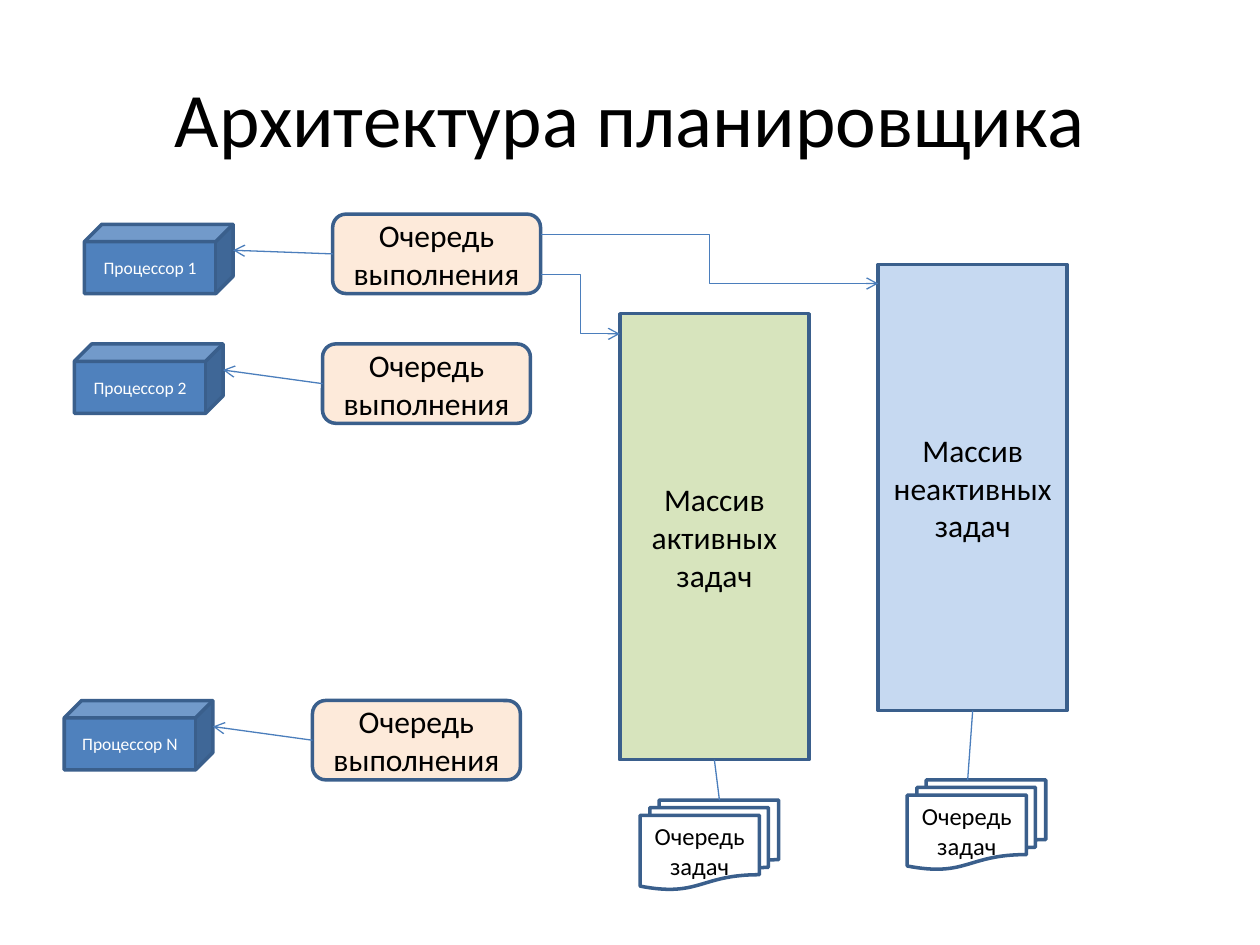
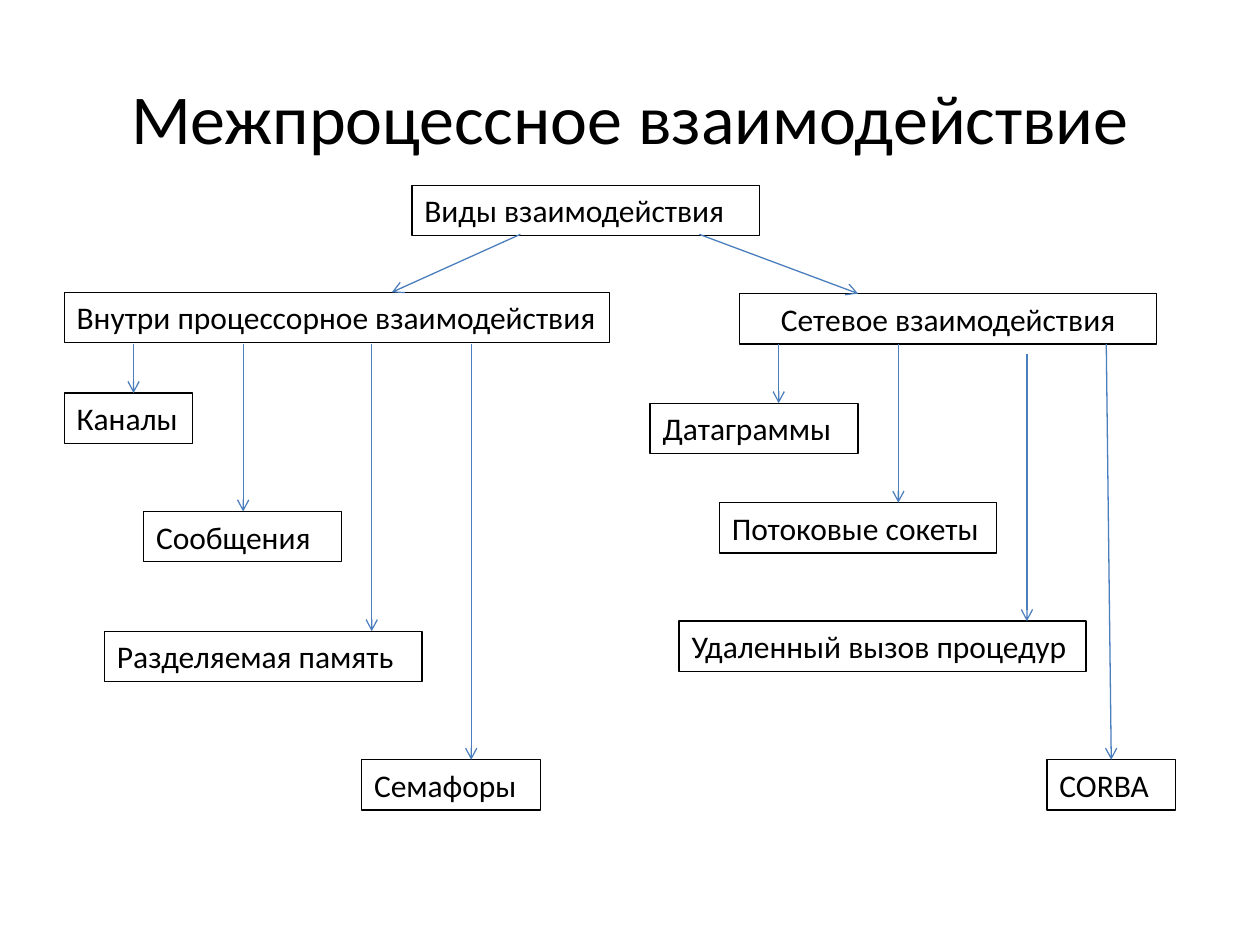
from dataclasses import dataclass

from lxml.etree import SubElement
from pptx import Presentation
from pptx.dml.color import RGBColor
from pptx.enum.shapes import MSO_CONNECTOR as Link, MSO_SHAPE as Shape
from pptx.enum.text import MSO_ANCHOR as Anchor, MSO_AUTO_SIZE as AutoSize, PP_ALIGN as Align
from pptx.oxml.ns import qn
from pptx.util import Inches, Pt

# Shared grid: 100 columns by 75 rows
WIDTH, HEIGHT = Inches(10), Inches(7.5)
COL, ROW = WIDTH / 100, HEIGHT / 75

# Shared style
FONT = "Calibri"
BLACK, WHITE = "000000", "FFFFFF"
OUTLINE, ARROW = "3A5F8C", "4B7EBC"
PROCESSOR, RUN_QUEUE, ACTIVE, INACTIVE = "4F81BD", "FDEADA", "D7E4BD", "C6D9F1"
THICK, THIN = Pt(2), Pt(0.75)


@dataclass(frozen=True)
class Box:
    """A rectangle in columns and rows of the grid."""
    left: float
    top: float
    width: float
    height: float

    @property
    def right(self) -> float:
        return self.left + self.width

    @property
    def bottom(self) -> float:
        return self.top + self.height

    @property
    def center(self) -> float:
        return self.left + self.width / 2

    @property
    def middle(self) -> float:
        return self.top + self.height / 2

    def emu(self) -> tuple[int, ...]:
        return (round(self.left * COL), round(self.top * ROW),
                round(self.width * COL), round(self.height * ROW))


@dataclass(frozen=True)
class Processor:
    label: str
    left: float
    top: float
    queue_top: float


@dataclass(frozen=True)
class TaskArray:
    label: str
    fill: str
    left: float
    top: float
    link_y: float
    entry: float
    tasks: Box
    tasks_entry: float


@dataclass(frozen=True)
class Topic:
    """A framed label and the arrow that leads to it."""
    label: str
    left: float
    top: float
    width: float
    start: tuple[float, float] | None = None
    end_x: float = 0
    align: Align = Align.LEFT


TITLE = Box(5, 3, 90, 12.5)
CUBE_SIZE = (11.8, 5.5)
CUBE_DEPTH = 0.25
QUEUE_SIZE = (16.5, 6.3)
QUEUE_SHIFT = 19.7
ARRAY_SIZE = (15, 35.4)
TOPIC_HEIGHT = 4
BRANCH_Y, DROP_Y = 18.6, 27.3

PROCESSORS = [
    Processor("Процессор 1", 6.7, 17.8, 17),
    Processor("Процессор 2", 5.9, 27.3, 27.3),
    Processor("Процессор N", 5.1, 55.6, 55.6),
]
ARRAYS = [
    TaskArray("Массив активных задач", ACTIVE, 49.2, 24.9, 21.8, 26.5,
              Box(50.8, 63.5, 11, 7.1), 57.1),
    TaskArray("Массив неактивных задач", INACTIVE, 69.7, 21, 18.6, 22.5,
              Box(72, 61.9, 11, 7.1), 76.8),
]
TOPICS = [
    Topic("Виды взаимодействия", 32.7, 14.7, 27.6),
    Topic("Внутри процессорное взаимодействия", 5.1, 23.2, 43.3, (41.3, BRANCH_Y), 31.1),
    Topic("Сетевое взаимодействия", 58.7, 23.3, 33.1, (55.5, BRANCH_Y), 68.1, Align.CENTER),
    Topic("Каналы", 5.1, 31.2, 10.2, (10.6, DROP_Y), 10.6),
    Topic("Сообщения", 11.4, 40.6, 15.7, (19.3, DROP_Y), 19.3),
    Topic("Разделяемая память", 8.3, 50.1, 25.2, (29.5, DROP_Y), 29.5),
    Topic("Семафоры", 28.7, 60.3, 14.2, (37.4, DROP_Y), 37.4),
    Topic("Датаграммы", 51.6, 32, 16.5, (61.8, DROP_Y), 61.8),
    Topic("Потоковые сокеты", 57.1, 39.9, 22, (71.3, DROP_Y), 71.3),
    Topic("Удаленный вызов процедур", 53.9, 49.3, 32.3, (81.5, 28.1), 81.5),
    Topic("CORBA", 83.1, 60.3, 10.2, (87.8, DROP_Y), 88.2),
]


def color(code: str) -> RGBColor:
    return RGBColor.from_string(code)


def write(shape, text: str, size: float, ink: str = BLACK,
          align: Align = Align.CENTER, anchor: Anchor = Anchor.MIDDLE) -> None:
    frame = shape.text_frame
    frame.word_wrap = True
    frame.vertical_anchor = anchor
    line = frame.paragraphs[0]
    line.alignment = align
    run = line.add_run()
    run.text = text
    run.font.name, run.font.size = FONT, Pt(size)
    run.font.color.rgb = color(ink)


def outline(shape, code: str, width: int) -> None:
    shape.line.color.rgb = color(code)
    shape.line.width = width


def add_title(slide, text: str, size: float) -> None:
    write(slide.shapes.add_textbox(*TITLE.emu()), text, size)


def add_block(slide, kind: Shape, box: Box, fill: str, text: str,
              size: float = 18, ink: str = BLACK) -> None:
    block = slide.shapes.add_shape(kind, *box.emu())
    block.shadow.inherit = False
    block.fill.solid()
    block.fill.fore_color.rgb = color(fill)
    outline(block, OUTLINE, THICK)
    write(block, text, size, ink)


def add_link(slide, start: tuple[float, float], end: tuple[float, float],
             kind: Link = Link.STRAIGHT, arrow: bool = True) -> None:
    ends = [round(value * unit) for point in (start, end)
            for value, unit in zip(point, (COL, ROW))]
    link = slide.shapes.add_connector(kind, *ends)
    outline(link, ARROW, THIN)
    if arrow:
        SubElement(link.line._get_or_add_ln(), qn("a:tailEnd"), type="arrow")
    SubElement(link._element.spPr, qn("a:effectLst"))


def draw_processor(slide, processor: Processor) -> None:
    cube = Box(processor.left, processor.top, *CUBE_SIZE)
    queue = Box(processor.left + QUEUE_SHIFT, processor.queue_top, *QUEUE_SIZE)
    add_block(slide, Shape.CUBE, cube, PROCESSOR, processor.label, 10, WHITE)
    add_block(slide, Shape.ROUNDED_RECTANGLE, queue, RUN_QUEUE, "Очередь выполнения")
    side_y = cube.top + cube.height * (1 - CUBE_DEPTH) / 2
    add_link(slide, (queue.left, queue.middle), (cube.right, side_y))


def draw_array(slide, array: TaskArray) -> None:
    body = Box(array.left, array.top, *ARRAY_SIZE)
    queue_right = PROCESSORS[0].left + QUEUE_SHIFT + QUEUE_SIZE[0]
    add_block(slide, Shape.RECTANGLE, body, array.fill, array.label)
    add_link(slide, (queue_right, array.link_y), (body.left, array.entry), Link.ELBOW)
    add_block(slide, Shape.FLOWCHART_MULTIDOCUMENT, array.tasks, WHITE, "Очередь задач", 14)
    add_link(slide, (body.center, body.bottom), (array.tasks_entry, array.tasks.top),
             arrow=False)


def draw_topic(slide, topic: Topic) -> None:
    box = Box(topic.left, topic.top, topic.width, TOPIC_HEIGHT)
    frame = slide.shapes.add_textbox(*box.emu())
    outline(frame, BLACK, THIN)
    write(frame, topic.label, 18, align=topic.align, anchor=Anchor.TOP)
    frame.text_frame.auto_size = AutoSize.SHAPE_TO_FIT_TEXT
    if topic.start:
        add_link(slide, topic.start, (topic.end_x, topic.top))


def main() -> None:
    deck = Presentation()
    deck.slide_width, deck.slide_height = WIDTH, HEIGHT
    blank = deck.slide_layouts[6]

    # Scheduler architecture
    scheduler = deck.slides.add_slide(blank)
    add_title(scheduler, "Архитектура планировщика", 44)
    for processor in PROCESSORS:
        draw_processor(scheduler, processor)
    for array in ARRAYS:
        draw_array(scheduler, array)

    # Interprocess communication
    communication = deck.slides.add_slide(blank)
    add_title(communication, "Межпроцессное взаимодействие", 40)
    for topic in TOPICS:
        draw_topic(communication, topic)

    deck.save("out.pptx")


if __name__ == "__main__":
    main()
